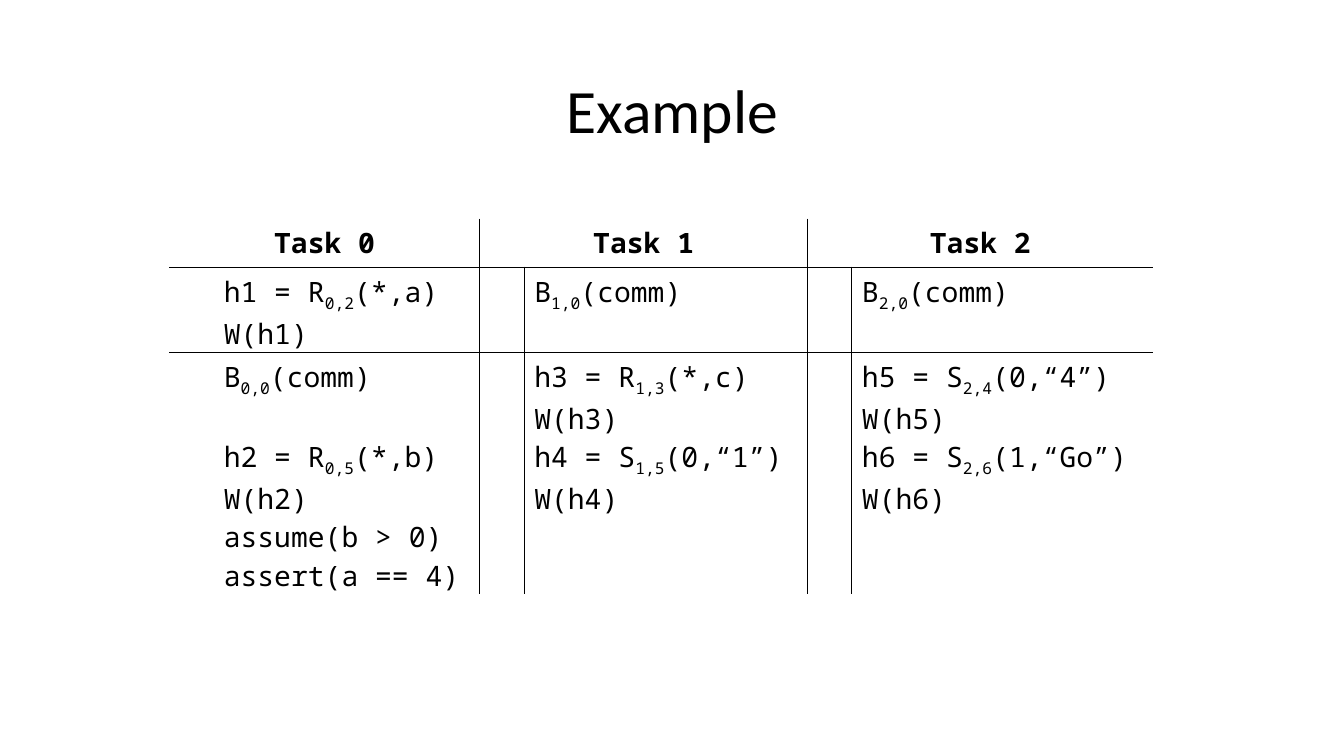
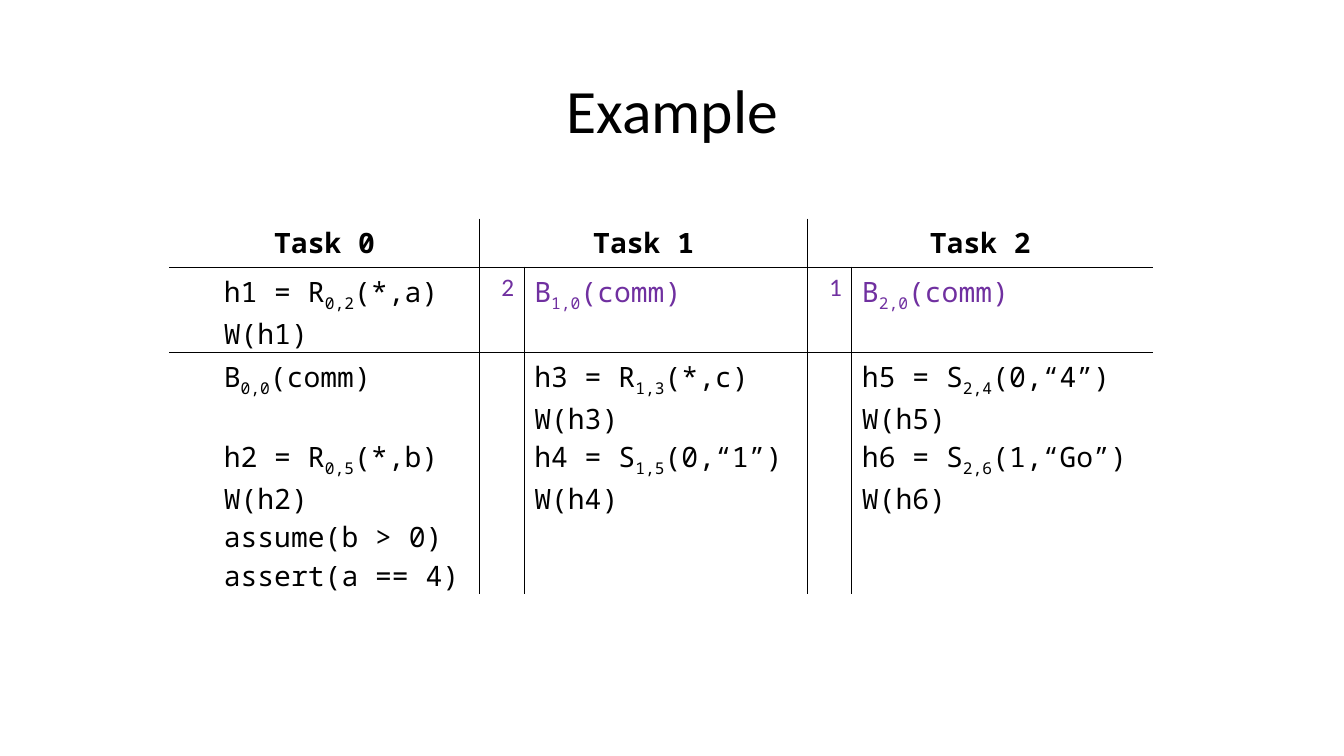
from lxml import etree
from pptx import Presentation
from pptx.dml.color import RGBColor
from pptx.enum.text import MSO_ANCHOR, PP_ALIGN
from pptx.oxml.ns import qn
from pptx.util import Inches, Pt

CENTER, LEFT, RIGHT = PP_ALIGN.CENTER, PP_ALIGN.LEFT, PP_ALIGN.RIGHT
MIDDLE = MSO_ANCHOR.MIDDLE
TITLE_ONLY = 5
PLAIN_TABLE_STYLE = "{2D5ABB26-0587-4C30-8999-92F81FD0307C}"

COLORS = {"ink": "000000", "paper": "FFFFFF", "matched": "7030A0"}
TEXT_FONT, CODE_FONT = "Calibri", "Noto Sans Mono"

# Each task has a narrow gutter for step numbers and a wide code column
GUTTER = 0.44
CODE_WIDTHS = [2.64, 2.81, 2.99]
ROW_HEIGHTS = [0.29, 0.48, 0.48, 0.43, 0.7]
SPACED_ROWS = (1, 2)  # code rows with a gap above

# Underscores enclose subscripts; one list per row, one entry per task
PROGRAM = [
    [["h1 = R_0,2_(*,a)", "W(h1)"], ["B_1,0_(comm)"], ["B_2,0_(comm)"]],
    [["B_0,0_(comm)"], ["h3 = R_1,3_(*,c)", "W(h3)"],
     ["h5 = S_2,4_(0,“4”)", "W(h5)"]],
    [["h2 = R_0,5_(*,b)", "W(h2)"], ["h4 = S_1,5_(0,“1”)", "W(h4)"],
     ["h6 = S_2,6_(1,“Go”)", "W(h6)"]],
    [["assume(b > 0)", "assert(a == 4)"], [], []],
]


class Deck:
    """Holds the shared style and the current slide."""

    def __init__(self):
        self.prs = Presentation()
        self.prs.slide_width, self.prs.slide_height = Inches(13.33), Inches(7.5)
        self.slide = None

    def add_slide(self, heading):
        self.slide = self.prs.slides.add_slide(self.prs.slide_layouts[TITLE_ONLY])
        title = self.slide.shapes.title
        title.left, title.top = Inches(0.92), Inches(0.4)
        title.width, title.height = Inches(11.5), Inches(1.45)
        title.text_frame.vertical_anchor = MIDDLE
        self.set_lines(title.text_frame, [heading], TEXT_FONT, 44, align=CENTER)
        title.text_frame.paragraphs[0].line_spacing = 0.9

    def set_lines(self, frame, lines, font, size, color="ink", align=LEFT, bold=False):
        for i, line in enumerate(lines):
            paragraph = frame.add_paragraph() if i else frame.paragraphs[0]
            paragraph.alignment = align
            paragraph.font.name, paragraph.font.size = font, Pt(size)
            paragraph.font.bold = bold
            paragraph.font.color.rgb = RGBColor.from_string(COLORS[color])
            for part, text in enumerate(line.split("_")):
                run = paragraph.add_run()
                run.text = text
                if part % 2:
                    run._r.get_or_add_rPr().set("baseline", "-25000")

    def style_cell(self, cell, edges):
        """Fill the cell and rule the given edges, a subset of "LRTB" in order."""
        cell.fill.solid()
        cell.fill.fore_color.rgb = RGBColor.from_string(COLORS["paper"])
        properties = cell._tc.get_or_add_tcPr()
        for position, edge in enumerate(edges):
            line = etree.Element(qn(f"a:ln{edge}"), w=str(Pt(1)))
            fill = etree.SubElement(line, qn("a:solidFill"))
            etree.SubElement(fill, qn("a:srgbClr"), val=COLORS["ink"])
            properties.insert(position, line)

    def add_task_table(self, steps):
        """Draw the program; steps maps (row, task) to a step number."""
        widths = [w for code in CODE_WIDTHS for w in (GUTTER, code)]
        table = self.slide.shapes.add_table(
            len(ROW_HEIGHTS), len(widths), Inches(1.68), Inches(2.17),
            Inches(sum(widths)), Inches(sum(ROW_HEIGHTS))).table
        table.first_row = table.horz_banding = False
        table._tbl.tblPr.find(qn("a:tableStyleId")).text = PLAIN_TABLE_STYLE
        for column, width in zip(table.columns, widths):
            column.width = Inches(width)
        for row, height in zip(table.rows, ROW_HEIGHTS):
            row.height = Inches(height)

        # Rules between tasks and below the header
        last = len(widths) - 1
        for r in range(len(ROW_HEIGHTS)):
            for c in range(len(widths)):
                edges = "L" if c % 2 == 0 and c > 0 else ""
                if (c % 2 or r == 0) and c < last - 1:
                    edges += "R"
                edges += {0: "B", 1: "T"}.get(r, "")
                self.style_cell(table.cell(r, c), edges)

        # Task names
        for task in range(len(CODE_WIDTHS)):
            header = table.cell(0, 2 * task)
            header.merge(table.cell(0, 2 * task + 1))
            self.set_lines(header.text_frame, [f"Task {task}"], CODE_FONT, 20,
                           align=CENTER, bold=True)

        # Code and step numbers
        for r, tasks in enumerate(PROGRAM, start=1):
            for task, code in enumerate(tasks):
                gutter, body = (table.cell(r, 2 * task + k) for k in (0, 1))
                for cell in (gutter, body):
                    cell.margin_top = Inches(0.05 if r in SPACED_ROWS else 0)
                    cell.margin_bottom = 0
                step = steps.get((r, task))
                color = "matched" if step else "ink"
                self.set_lines(body.text_frame, code, CODE_FONT, 20, color)
                if step:
                    self.set_lines(gutter.text_frame, [step], TEXT_FONT, 18,
                                   color, RIGHT)


def main():
    deck = Deck()
    for steps in ({}, {(1, 1): "2", (1, 2): "1"}):
        deck.add_slide("Example")
        deck.add_task_table(steps)
    deck.prs.save("out.pptx")


if __name__ == "__main__":
    main()
